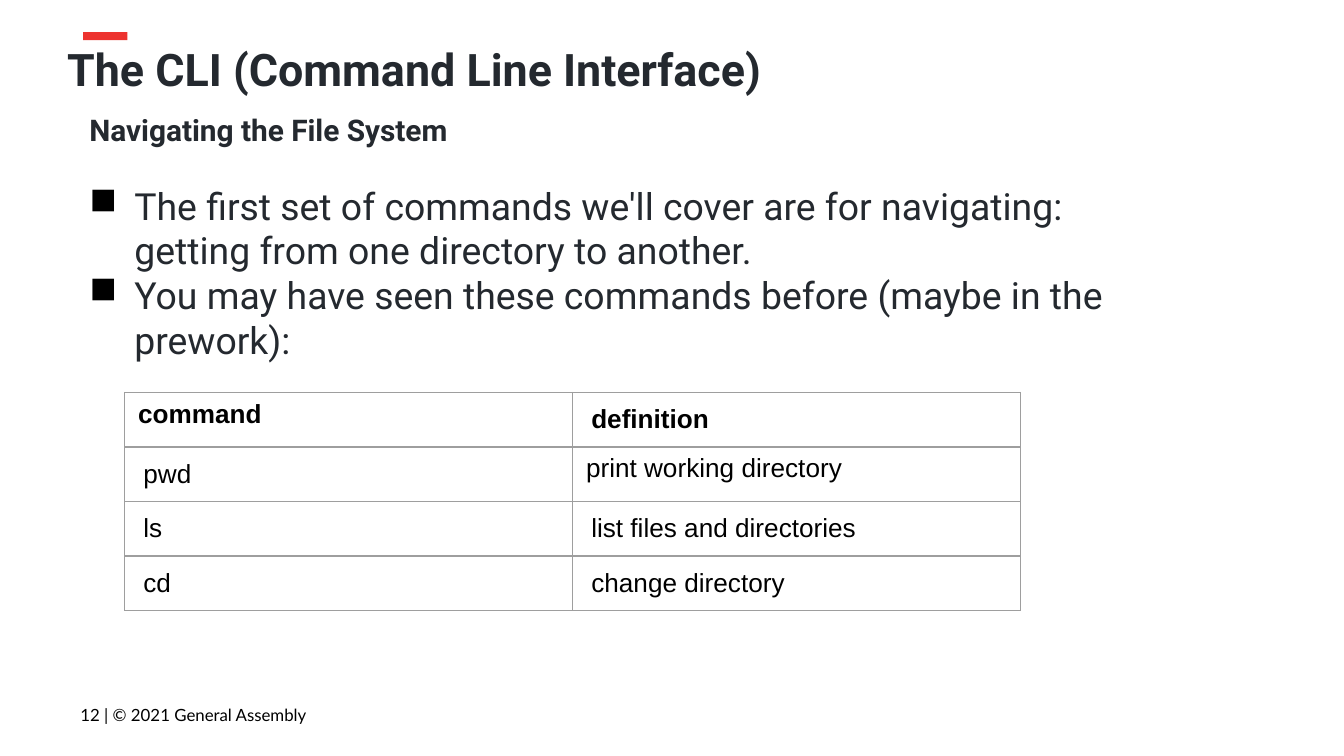
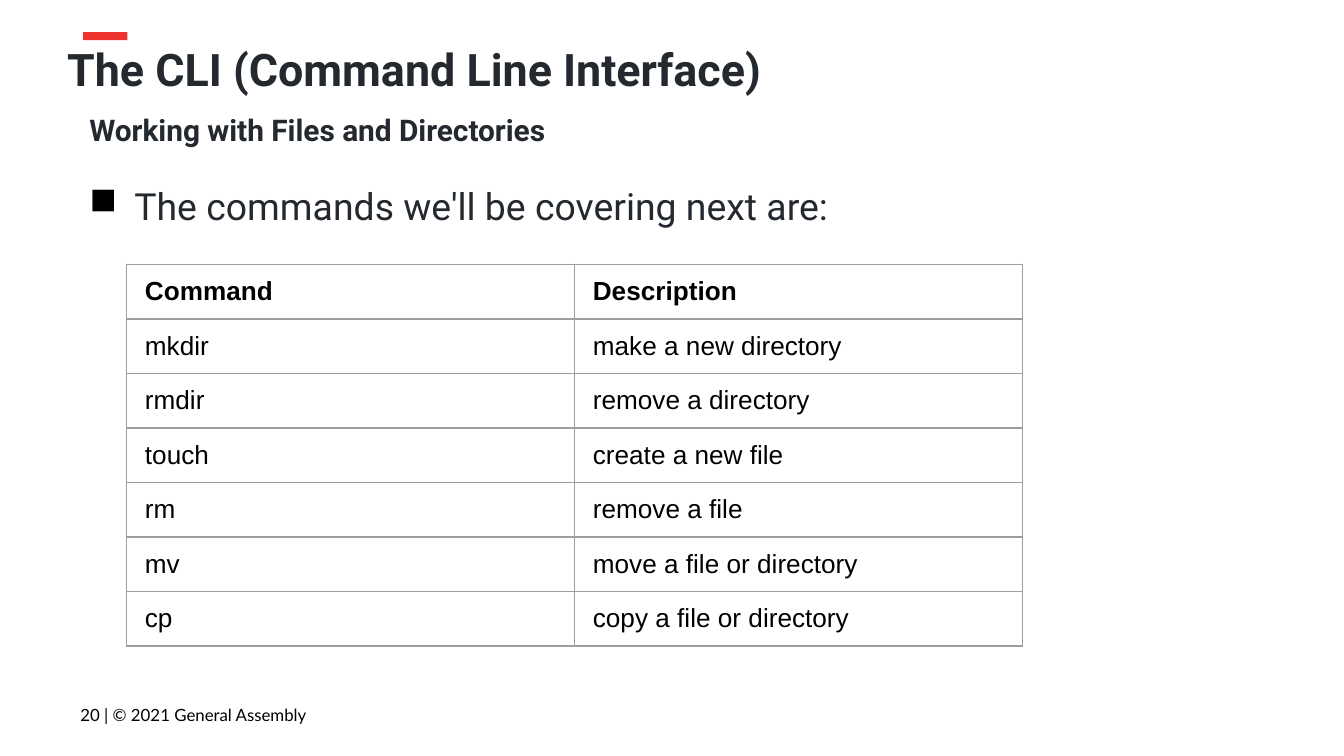
from dataclasses import dataclass

from lxml.etree import SubElement
from pptx import Presentation
from pptx.dml.color import RGBColor as RGB
from pptx.enum.shapes import MSO_SHAPE as SHAPE
from pptx.enum.text import MSO_ANCHOR as ANCHOR
from pptx.oxml.ns import qn
from pptx.util import Cm, Pt


@dataclass(frozen=True)
class Theme:
    ink: str = "24292F"
    black: str = "000000"
    accent: str = "ED332F"
    rule: str = "9E9E9E"
    heading_font: str = "Roboto"
    table_font: str = "Arial"
    footer_font: str = "Lato"
    title: float = 24
    subtitle: float = 16
    body: float = 20
    table: float = 14
    footer: float = 9
    border: float = 0.75


@dataclass(frozen=True)
class Box:
    """A region of the slide, in centimetres."""
    left: float
    top: float
    width: float
    height: float

    def emu(self):
        return [Cm(v) for v in (self.left, self.top, self.width, self.height)]


THEME = Theme()
TITLE = "The CLI (Command Line Interface)"
HEADER_BOX = Box(1.27, 0.61, 23.67, 1.78)
BODY_BOX = Box(1.27, 2.11, 20.04, 10.62)
FOOTER_BOX = Box(1.27, 12.93, 7.98, 1.17)
TABLE_WIDTH, ROW_HEIGHT = 16.93, 1.03
WIDE_INSET, TIGHT_INSET = (0.35, 0.15), (0.25, 0.13)


def add_run(p, text, font, size, color, bold=False):
    r = p.add_run()
    r.text = text
    r.font.name = font
    r.font.size = Pt(size)
    r.font.bold = bold
    r.font.color.rgb = RGB.from_string(color)


def add_text_frame(s, box, inset=0.0, anchor=ANCHOR.TOP):
    tf = s.shapes.add_textbox(*box.emu()).text_frame
    tf.word_wrap = True
    tf.vertical_anchor = anchor
    tf.margin_left = tf.margin_right = tf.margin_top = tf.margin_bottom = Cm(inset)
    return tf


def add_solid_fill(parent, color):
    fill = SubElement(parent, qn("a:solidFill"))
    SubElement(fill, qn("a:srgbClr")).set("val", color)


def set_indent(p, left, first=0.0):
    pPr = p._p.get_or_add_pPr()
    pPr.set("marL", str(Cm(left)))
    pPr.set("indent", str(Cm(first)))
    return pPr


def set_bullet(p):
    pPr = set_indent(p, 1.27, -0.85)
    color = SubElement(pPr, qn("a:buClr"))
    SubElement(color, qn("a:srgbClr")).set("val", THEME.black)
    SubElement(pPr, qn("a:buChar")).set("char", "■")


def add_header(s, box):
    bar_box = Box(box.left + 0.3, box.top, 0.84, 0.15)
    bar = s.shapes.add_shape(SHAPE.RECTANGLE, *bar_box.emu())
    bar.shadow.inherit = False
    bar.fill.solid()
    bar.fill.fore_color.rgb = RGB.from_string(THEME.accent)
    bar.line.fill.background()
    title_box = Box(box.left, box.top + 0.18, box.width, box.height - 0.18)
    tf = add_text_frame(s, title_box)
    add_run(tf.paragraphs[0], TITLE, THEME.heading_font, THEME.title, THEME.ink, True)


def add_body(s, box, subtitle, bullets):
    tf = add_text_frame(s, box)
    p = tf.paragraphs[0]
    set_indent(p, 0.42)
    add_run(p, subtitle, THEME.heading_font, THEME.subtitle, THEME.ink, True)
    for i, text in enumerate(bullets):
        p = tf.add_paragraph()
        set_bullet(p)
        p.space_before = Pt(0 if i else 19)
        add_run(p, text, THEME.heading_font, THEME.body, THEME.ink)


def add_footer(s, box, number):
    tf = add_text_frame(s, box, 0.25, ANCHOR.MIDDLE)
    add_run(tf.paragraphs[0], f"{number} | © 2021 General Assembly",
            THEME.footer_font, THEME.footer, THEME.black)


def set_borders(cell):
    tcPr = cell._tc.get_or_add_tcPr()
    for side in ("a:lnL", "a:lnR", "a:lnT", "a:lnB"):
        line = SubElement(tcPr, qn(side))
        line.set("w", str(Pt(THEME.border)))
        add_solid_fill(line, THEME.rule)


def fill_cell(cell, text, bold, tight):
    set_borders(cell)
    cell.fill.background()
    side, edge = TIGHT_INSET if tight else WIDE_INSET
    cell.margin_left = cell.margin_right = Cm(side)
    cell.margin_top = cell.margin_bottom = Cm(edge)
    cell.vertical_anchor = ANCHOR.TOP if tight else ANCHOR.MIDDLE
    add_run(cell.text_frame.paragraphs[0], text,
            THEME.table_font, THEME.table, THEME.black, bold)


def add_command_table(s, box, rows, tight_cells):
    """Draw the rows, with a bold first one; tight cells sit at the top."""
    table = s.shapes.add_table(len(rows), len(rows[0]), *box.emu()).table
    table.first_row = table.horz_banding = False
    for y, row in enumerate(rows):
        table.rows[y].height = Cm(box.height / len(rows))
        for x, text in enumerate(row):
            fill_cell(table.cell(y, x), text, y == 0, (y, x) in tight_cells)


def add_command_slide(prs, number, subtitle, bullets, table_at, rows, tight_cells=()):
    s = prs.slides.add_slide(prs.slide_layouts[6])
    add_footer(s, FOOTER_BOX, number)
    add_header(s, HEADER_BOX)
    add_body(s, BODY_BOX, subtitle, bullets)
    table_box = Box(*table_at, TABLE_WIDTH, ROW_HEIGHT * len(rows))
    add_command_table(s, table_box, rows, tight_cells)


def main():
    prs = Presentation()
    prs.slide_width, prs.slide_height = Cm(25.4), Cm(14.29)
    add_command_slide(
        prs, 12, "Navigating the File System",
        ["The first set of commands we'll cover are for navigating: "
         "getting from one directory to another.",
         "You may have seen these commands before (maybe in the prework):"],
        (2.36, 7.42),
        [("command", "definition"),
         ("pwd", "print working directory"),
         ("ls", "list files and directories"),
         ("cd", "change directory")],
        tight_cells={(0, 0), (1, 1)})
    add_command_slide(
        prs, 20, "Working with Files and Directories",
        ["The commands we'll be covering next are:"],
        (2.39, 5),
        [("Command", "Description"),
         ("mkdir", "make a new directory"),
         ("rmdir", "remove a directory"),
         ("touch", "create a new file"),
         ("rm", "remove a file"),
         ("mv", "move a file or directory"),
         ("cp", "copy a file or directory")])
    prs.save("out.pptx")


if __name__ == "__main__":
    main()
